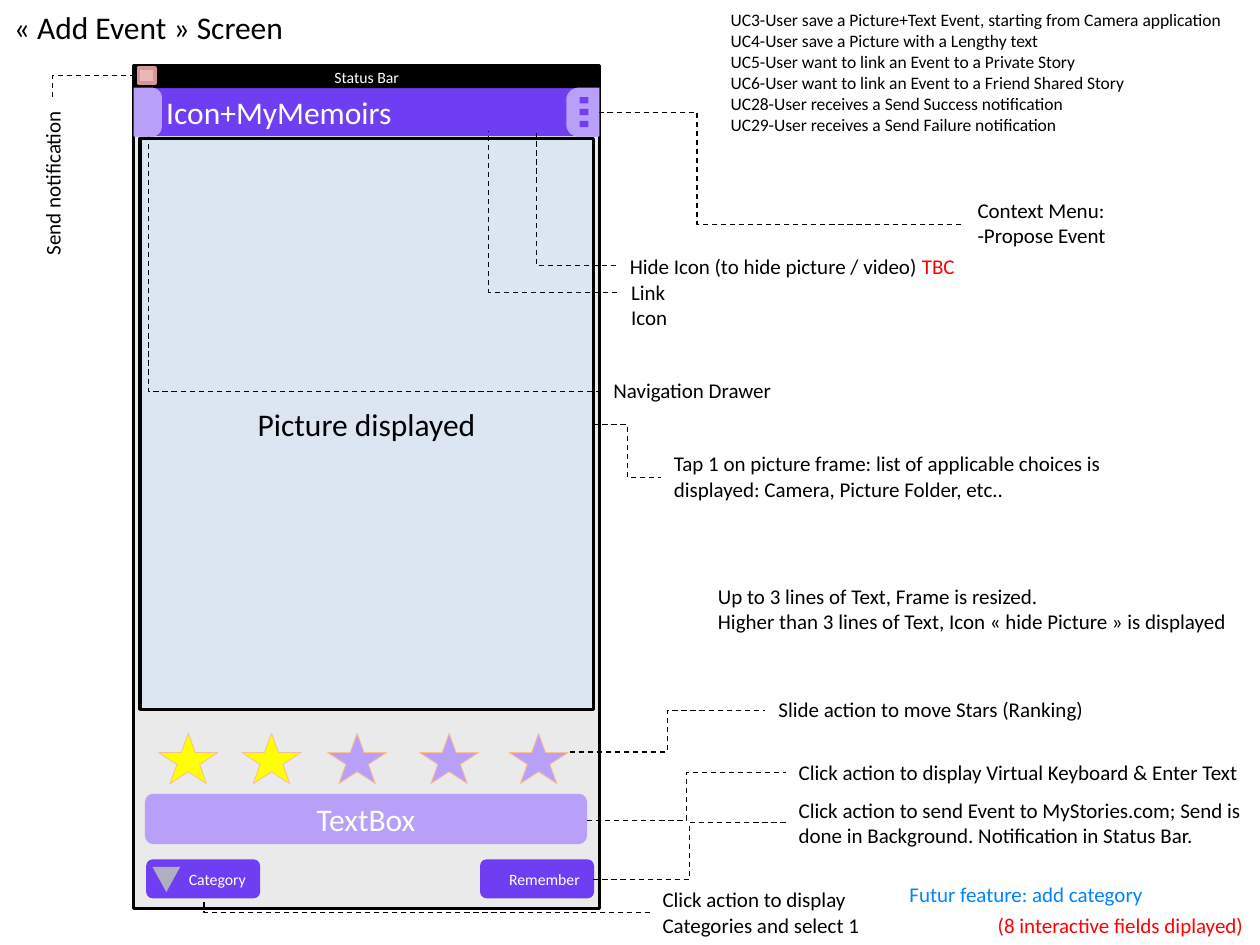
from lxml import etree
from pptx import Presentation
from pptx.dml.color import RGBColor
from pptx.enum.dml import MSO_LINE
from pptx.enum.shapes import MSO_CONNECTOR, MSO_SHAPE
from pptx.enum.text import MSO_ANCHOR, MSO_AUTO_SIZE, PP_ALIGN
from pptx.oxml.ns import qn
from pptx.util import Inches, Pt

RECT, ROUND = MSO_SHAPE.RECTANGLE, MSO_SHAPE.ROUNDED_RECTANGLE
STAR, TAB = MSO_SHAPE.STAR_5_POINT, MSO_SHAPE.ROUND_2_SAME_RECTANGLE
WEDGE = MSO_SHAPE.ISOSCELES_TRIANGLE
ELBOW, DASH = MSO_CONNECTOR.ELBOW, MSO_LINE.DASH
LEFT, MID, RIGHT = PP_ALIGN.LEFT, PP_ALIGN.CENTER, PP_ALIGN.RIGHT
TOP, FIT = MSO_ANCHOR.TOP, MSO_AUTO_SIZE.SHAPE_TO_FIT_TEXT
tint = RGBColor.from_string
BLACK, WHITE, RED, BLUE = "000000", "FFFFFF", "FF0000", "0084FF"
DEEP, PALE, GOLD = "6F3EF3", "B8A0F9", "FFFF00"

deck = Presentation()
deck.slide_width, deck.slide_height = Inches(10), Inches(7.5)
slide = deck.slides.add_slide(deck.slide_layouts[5])
shapes = slide.shapes
UNIT = deck.slide_width / 100  # the slide is a grid of 100 columns by 75 rows


def draw(kind, box, fill, edge=None, width=0):
    shape = shapes.add_shape(kind, *[round(n * UNIT) for n in box])
    shape.shadow.inherit = False
    shape.fill.solid()
    shape.fill.fore_color.rgb = tint(fill)
    if edge:
        shape.line.color.rgb = tint(edge)
        shape.line.width = Pt(width)
    else:
        shape.line.fill.background()
    return shape


def write(shape, text, size, color=BLACK, align=LEFT):
    frame = shape.text_frame
    frame.text = text
    for para in frame.paragraphs:
        para.alignment = align
        para.font.size = Pt(size)
        for run in para.runs:
            run.font.size = Pt(size)
            run.font.name = "Calibri"
            run.font.color.rgb = tint(color)
    return frame


# Title
title = shapes.title
title.left, title.top, title.width, title.height = [
    round(n * UNIT) for n in (0.1, 0.1, 23.5, 4)]
frame = write(title, "« Add Event » Screen", 18)
frame.vertical_anchor, frame.word_wrap, frame.auto_size = TOP, False, FIT

# Phone screen
draw(RECT, (10.6, 5.2, 37, 66.9), "EAEAEA", BLACK, 1.5)
bar = draw(RECT, (10.6, 6.9, 37, 3.9), DEEP)
write(bar, "Icon+MyMemoirs", 18, WHITE).margin_left = round(2.6 * UNIT)
field = draw(ROUND, (11.5, 63, 35.1, 4), PALE)
write(field, "TextBox", 18, WHITE, MID)
for left, label in [(38.1, "Remember"), (11.6, "Category")]:
    button = draw(ROUND, (left, 68.2, 9.05, 3.1), DEEP)
    write(button, label, 9, WHITE, RIGHT)
draw(WEDGE, (12.1, 68.8, 2.2, 2), "B0AFC1").rotation = 180
for left, fill in [(12.6, GOLD), (19.2, GOLD), (26, PALE), (33.3, PALE),
                   (40.4, PALE)]:
    draw(STAR, (left, 58.2, 4.7, 4), fill, "FAC090", 0.5)
photo = draw(RECT, (11.1, 11, 36, 45.3), "DCE6F2", BLACK, 2)
write(photo, "Picture displayed", 18, BLACK, MID)
status = draw(RECT, (10.6, 5.2, 37, 1.8), BLACK)
write(status, "Status Bar", 9, WHITE, MID)

# Dashed links: the share places the middle leg, None means a single corner
links = [
    (51.6, 72.4, 16.2, 71.3, None), (47.7, 31.1, 11.8, 10.8, None),
    (12.9, 6, 4.2, 7.7, None), (49, 23.2, 38.8, 10.4, None),
    (48.9, 21.1, 42.6, 10.6, None), (46.6, 65.1, 62.4, 61.3, 0.5),
    (47.1, 69.8, 62.4, 65.3, 0.5), (45.2, 59.7, 60.7, 56.4, 0.5),
    (47.1, 33.7, 52.5, 37.9, 0.5), (47.5, 8.9, 76.5, 17.8, 0.27),
]
for *ends, share in links:
    link = shapes.add_connector(ELBOW, *[round(n * UNIT) for n in ends])
    link.line.color.rgb = tint(BLACK)
    link.line.width = Pt(0.75)
    link.line.dash_style = DASH
    props = link._element.spPr
    etree.SubElement(props, qn("a:effectLst"))
    shape = props.find(qn("a:prstGeom"))
    if share is None:
        shape.set("prst", "bentConnector2")
    else:
        etree.SubElement(shape.find(qn("a:avLst")), qn("a:gd"),
                         name="adj1", fmla=f"val {round(share * 100000)}")

# Send mark, drawer tab and menu tab
draw(RECT, (11, 5.4, 1.3, 1.2), "E6B9B8", "D99694", 2)
for box, turn in [((9.8, 7.8, 3.9, 2.2), 90), ((44.3, 7.6, 3.9, 2.6), 270)]:
    tab = draw(TAB, box, PALE)
    tab.rotation = turn
    tab.adjustments[0] = 0.37
for row in range(3):
    draw(RECT, (46, 7.7 + 0.95 * row, 0.7, 0.5), DEEP)

# Notes: box, text, size, colour, wrapped
cases = """UC3-User save a Picture+Text Event, starting from Camera application
UC4-User save a Picture with a Lengthy text
UC5-User want to link an Event to a Private Story
UC6-User want to link an Event to a Friend Shared Story
UC28-User receives a Send Success notification
UC29-User receives a Send Failure notification"""
notes = [
    ((57, 0.2, 41.2, 11), cases, 10, BLACK, False),
    ((76.6, 15.2, 12.2, 5), "Context Menu:\n-Propose Event", 12, BLACK, False),
    ((49.1, 21.7, 7.9, 3), "Link Icon", 12, BLACK, False),
    ((47.7, 29.5, 14.6, 3), "Navigation Drawer", 12, BLACK, False),
    ((52.5, 35.3, 36.3, 5), "Tap 1 on picture frame: list of applicable "
     "choices is displayed: Camera, Picture Folder, etc..", 12, BLACK, True),
    ((56, 45.8, 42.6, 5), "Up to 3 lines of Text, Frame is resized.\nHigher "
     "than 3 lines of Text, Icon « hide Picture » is displayed",
     12, BLACK, False),
    ((60.8, 54.8, 26.3, 3), "Slide action to move Stars (Ranking)",
     12, BLACK, False),
    ((62.4, 59.8, 37.1, 3),
     "Click action to display Virtual Keyboard & Enter Text",
     12, BLACK, False),
    ((62.4, 62.8, 37.6, 5), "Click action to send Event to MyStories.com; "
     "Send is done in Background. Notification in Status Bar.",
     12, BLACK, True),
    ((51.6, 69.9, 18.2, 5), "Click action to display Categories and select 1",
     12, BLACK, True),
    ((71.2, 69.5, 20.6, 3), "Futur feature: add category", 12, BLUE, False),
    ((78.2, 71.9, 21.6, 3), "(8 interactive fields diplayed)", 12, RED, False),
    ((-2.6, 13, 13.5, 3), "Send notification", 12, BLACK, False),
    ((49, 19.6, 27.8, 3), "Hide Icon (to hide picture / video) ",
     12, BLACK, False),
]
for box, text, size, color, wrap in notes:
    note = shapes.add_textbox(*[round(n * UNIT) for n in box])
    frame = write(note, text, size, color)
    frame.word_wrap, frame.auto_size = wrap, FIT
    if text.startswith("Send"):
        note.rotation = 270

# The last note ends with a red mark
mark = frame.paragraphs[0].add_run()
mark.text = "TBC"
mark.font.size, mark.font.name = Pt(12), "Calibri"
mark.font.color.rgb = tint(RED)

deck.save("out.pptx")
